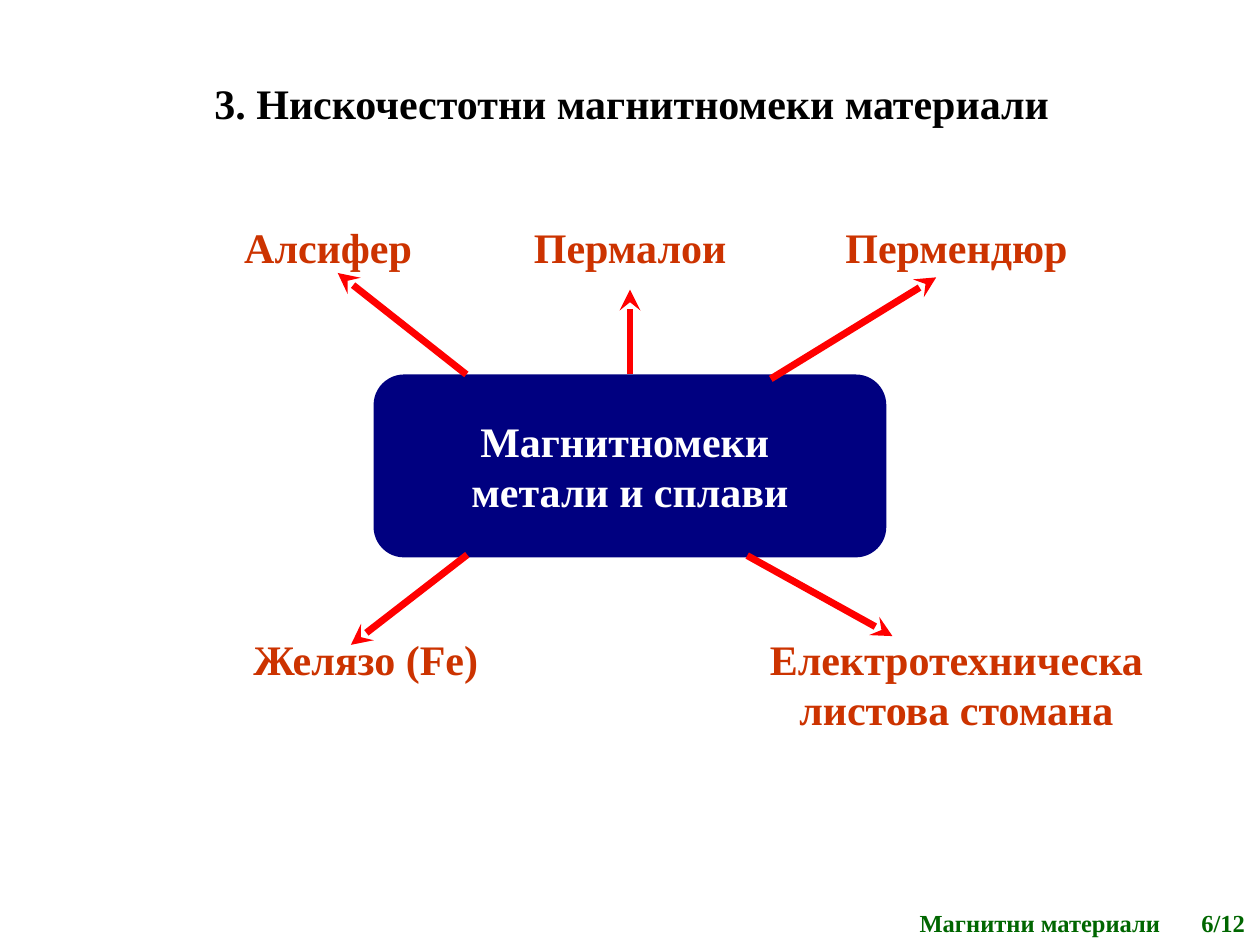
from dataclasses import dataclass

from lxml import etree
from pptx import Presentation
from pptx.dml.color import RGBColor
from pptx.enum.shapes import MSO_CONNECTOR, MSO_SHAPE
from pptx.enum.text import MSO_ANCHOR, PP_ALIGN
from pptx.oxml.ns import qn
from pptx.util import Pt

STRAIGHT = MSO_CONNECTOR.STRAIGHT
ROUNDED = MSO_SHAPE.ROUNDED_RECTANGLE
LEFT, CENTER = PP_ALIGN.LEFT, PP_ALIGN.CENTER
TOP, MIDDLE = MSO_ANCHOR.TOP, MSO_ANCHOR.MIDDLE
TOP_SITE = 0


@dataclass(frozen=True)
class Theme:
    font: str = "Times New Roman"
    body_size: int = 24
    footer_size: int = 14
    arrow_width: int = 4
    title: str = "000000"
    label: str = "CC3300"
    footer: str = "006600"
    core_fill: str = "000080"
    core_text: str = "FFFFFF"
    arrow: str = "FF0000"


class SlideBuilder:
    def __init__(self, slide, theme):
        self.slide = slide
        self.theme = theme

    def fill_text(self, shape, lines, color, size, align, anchor=TOP, tab=None):
        frame = shape.text_frame
        frame.word_wrap = True
        frame.vertical_anchor = anchor
        font_format = {"name": self.theme.font, "size": Pt(size), "bold": True}
        for index, line in enumerate(lines):
            para = frame.add_paragraph() if index else frame.paragraphs[0]
            para.alignment = align
            if tab:
                properties = para._p.get_or_add_pPr()
                tabs = etree.SubElement(properties, qn("a:tabLst"))
                etree.SubElement(tabs, qn("a:tab"), pos=str(Pt(tab)), algn="l")
            span = para.add_run()
            span.text = line
            for name, value in font_format.items():
                setattr(span.font, name, value)
            span.font.color.rgb = RGBColor.from_string(color)

    def text(self, line, place, color, size=None, align=CENTER, tab=None):
        box = self.slide.shapes.add_textbox(*map(Pt, place))
        self.fill_text(box, [line], color, size or self.theme.body_size, align,
                       tab=tab)

    def core(self, lines, place):
        box = self.slide.shapes.add_shape(ROUNDED, *map(Pt, place))
        box.shadow.inherit = False
        box.fill.solid()
        box.fill.fore_color.rgb = RGBColor.from_string(self.theme.core_fill)
        box.line.fill.background()
        self.fill_text(box, lines, self.theme.core_text, self.theme.body_size,
                       CENTER, MIDDLE)
        return box

    def arrow(self, start, end):
        link = self.slide.shapes.add_connector(STRAIGHT, *map(Pt, start + end))
        link.line.color.rgb = RGBColor.from_string(self.theme.arrow)
        link.line.width = Pt(self.theme.arrow_width)
        etree.SubElement(link.line._get_or_add_ln(), qn("a:tailEnd"), type="stealth")
        etree.SubElement(link._element.spPr, qn("a:effectLst"))
        return link


def main():
    deck = Presentation()
    deck.slide_width, deck.slide_height = Pt(720), Pt(540)
    theme = Theme()
    page = SlideBuilder(deck.slides.add_slide(deck.slide_layouts[6]), theme)

    # Title and footer
    page.text("3. Нискочестотни магнитномеки материали", (114, 41, 494, 36),
              theme.title)
    page.text("Магнитни материали\t6/12", (518.4, 515.5, 201.6, 24), theme.footer,
              theme.footer_size, LEFT, tab=161)

    # Central concept
    core = page.core(["Магнитномеки ", "метали и сплави"], (213.5, 214, 293, 104.5))

    # Materials around it: label, left, top, width, height, alignment
    upper, lower = 123, 358.5
    materials = [
        ("Алсифер", 132.5, upper, 111, 36, LEFT),
        ("Пермалои", 298, upper, 125, 36, LEFT),
        ("Пермендюр", 476, upper, 142, 36, LEFT),
        ("Желязо (Fe)", 127.5, lower, 163, 36, CENTER),
        ("Eлектротехническа листова стомана", 425.5, lower, 242, 65, CENTER),
    ]
    for label, *place, align in materials:
        page.text(label, place, theme.label, align=align)

    # Arrows from the concept to the materials
    page.arrow((360, 214), (360, 165.5)).begin_connect(core, TOP_SITE)
    for start, end in [
        ((266.5, 214), (193, 156)),
        ((440.5, 216.5), (535, 158.5)),
        ((267, 317), (200.5, 368.5)),
        ((427, 317.5), (510, 363.5)),
    ]:
        page.arrow(start, end)

    deck.save("out.pptx")


if __name__ == "__main__":
    main()
